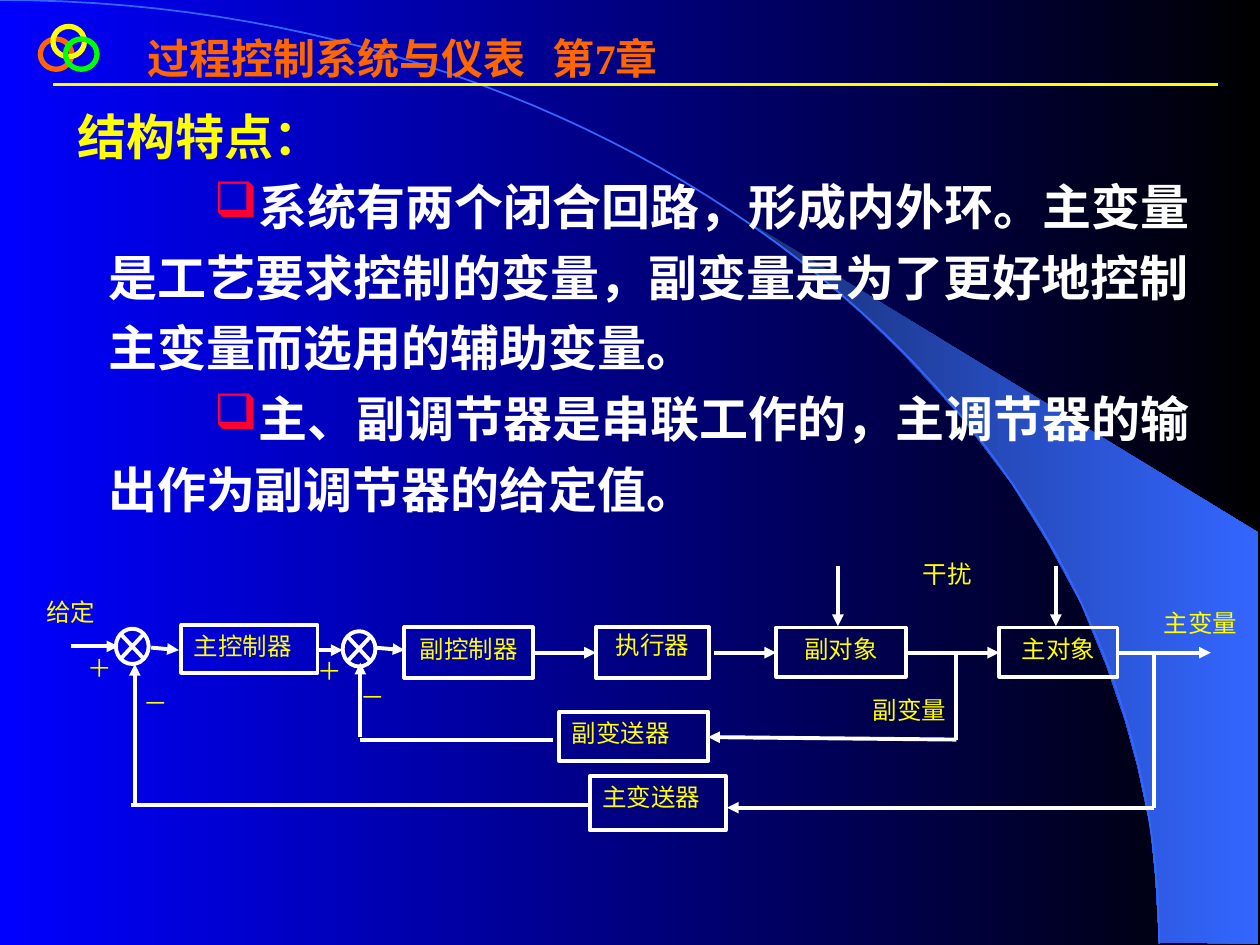
"""Build a slide on the structure of a cascade control system."""
from typing import Any, NamedTuple

from lxml.etree import SubElement
from pptx import Presentation
from pptx.dml.color import RGBColor
from pptx.enum.shapes import MSO_CONNECTOR as Connector, MSO_SHAPE as Preset
from pptx.enum.text import MSO_ANCHOR as Anchor, PP_ALIGN as Align
from pptx.oxml.ns import qn
from pptx.util import Cm, Pt

FONT = "Times New Roman"
WHITE, YELLOW, ORANGE, GREEN, BLUE = "FFFFFF", "FFFF00", "FF6600", "00FF00", "3366FF"
LINE_WIDTH = 2.25
AXIS = 5.18
CRESCENT = [
    (9.2, 7.48), (9.99, 7.49), (9.99, 4.23), (5.89, 1.73), (6.24, 1.99), (6.53, 2.22),
    (6.85, 2.5), (7.16, 2.8), (7.62, 3.3), (8.03, 3.84), (8.32, 4.31), (8.58, 4.79),
    (8.78, 5.28), (8.93, 5.72), (9.03, 6.09), (9.13, 6.56), (9.17, 6.96),
]


class Block(NamedTuple):
    text: str
    left: float
    top: float
    width: float
    height: float
    align: Align = Align.CENTER
    spacing: float = 1.0


class Link(NamedTuple):
    start: tuple
    end: tuple
    arrow: bool = True


BLOCKS = [
    Block("主控制器", 1.44, 4.96, 1.08, 0.38, Align.LEFT),
    Block("副控制器", 3.21, 4.98, 1.02, 0.4),
    Block("执行器", 4.73, 4.98, 0.9, 0.4, spacing=0.9),
    Block("副对象", 6.16, 4.98, 1.03, 0.39),
    Block("主对象", 7.93, 4.98, 0.94, 0.39),
    Block("副变送器", 4.44, 5.65, 1.18, 0.39, Align.LEFT),
    Block("主变送器", 4.68, 6.16, 1.08, 0.43, Align.LEFT),
]
LABELS = [
    Block("给定", 0.27, 4.69, 0.94, 0.39, Align.LEFT),
    Block("干扰", 7.05, 4.39, 0.94, 0.39),
    Block("主变量", 9.06, 4.78, 0.94, 0.39),
    Block("副变量", 6.75, 5.47, 0.94, 0.39),
    Block("＋", 0.6, 5.13, 0.44, 0.35, Align.LEFT),
    Block("＋", 2.42, 5.16, 0.44, 0.35, Align.LEFT),
    Block("－", 1.04, 5.41, 0.49, 0.35, Align.LEFT),
    Block("－", 2.76, 5.36, 0.49, 0.35, Align.LEFT),
]
LINKS = [
    Link((0.56, 5.13), (0.94, 5.13)),
    Link((1.2, 5.14), (1.42, 5.16)),
    Link((2.52, 5.16), (2.72, 5.16)),
    Link((2.97, 5.14), (3.21, 5.16)),
    *(Link((start, AXIS), (end, AXIS))
      for start, end in [(4.24, 4.73), (5.67, 6.16), (7.19, 7.93), (8.87, 9.61)]),
    *(Link((x, 4.49), (x, 4.97)) for x in (6.65, 8.38)),
    Link((7.59, AXIS), (7.59, 5.87), False),
    Link((7.59, 5.87), (5.62, 5.85)),
    Link((4.39, 5.87), (2.86, 5.87), False),
    Link((2.86, 5.85), (2.86, 5.26)),
    Link((9.16, AXIS), (9.16, 6.41), False),
    Link((9.16, 6.41), (5.77, 6.41)),
    Link((4.69, 6.39), (1.04, 6.39), False),
    Link((1.07, 6.38), (1.07, 5.27)),
]
FEATURES = [
    "系统有两个闭合回路，形成内外环。主变量是工艺要求控制的变量，副变量是为了更好地控制主变量而选用的辅助变量。",
    "主、副调节器是串联工作的，主调节器的输出作为副调节器的给定值。",
]


def inches(value: float) -> Cm:
    """Turn a measure in inches into a length."""
    return Cm(value * 2.54)


def colour(value: str) -> RGBColor:
    """Turn a hex string into a colour."""
    return RGBColor.from_string(value)


def apply(target: Any, values: dict) -> None:
    """Set each named attribute on the target."""
    for name, value in values.items():
        setattr(target, name, value)


def set_line(shape: Any, value: str, width: float) -> None:
    """Give a shape or connector a solid line."""
    shape.line.color.rgb = colour(value)
    shape.line.width = Pt(width)


def set_gradient(fill: Any, first: str, last: str) -> None:
    """Fill from left to right between two colours."""
    fill.gradient()
    fill.gradient_angle = 0
    for stop, value, position in zip(fill.gradient_stops, (first, last), (0, 1)):
        stop.color.rgb = colour(value)
        stop.position = position


def write(paragraph: Any, text: str, value: str, size: float, bold: bool = False, **layout: Any) -> None:
    """Add one formatted run to a paragraph."""
    apply(paragraph, layout)
    run = paragraph.add_run()
    run.text = text
    apply(run.font, {"name": FONT, "size": Pt(size), "bold": bold})
    run.font.color.rgb = colour(value)


def add_text_box(slide: Any, left: float, top: float, width: float, height: float) -> Any:
    """Add a wrapping text box and return its text frame."""
    box = slide.shapes.add_textbox(*map(inches, (left, top, width, height)))
    box.text_frame.word_wrap = True
    return box.text_frame


def add_outline(slide: Any, preset: Preset, bounds: tuple, value: str, width: float) -> Any:
    """Add an unfilled preset shape."""
    shape = slide.shapes.add_shape(preset, *map(inches, bounds))
    shape.shadow.inherit = False
    shape.fill.background()
    set_line(shape, value, width)
    return shape


def add_link(slide: Any, link: Link, value: str = WHITE, width: float = LINE_WIDTH) -> None:
    """Draw a straight line, with an arrowhead at its end if wanted."""
    connector = slide.shapes.add_connector(Connector.STRAIGHT, *map(inches, link.start + link.end))
    set_line(connector, value, width)
    if link.arrow:
        SubElement(connector.line._get_or_add_ln(), qn("a:tailEnd"), type="triangle")
    SubElement(connector._element.spPr, qn("a:effectLst"))


def add_freeform(slide: Any, points: list, closed: bool) -> Any:
    """Add a freeform through the given points."""
    places = [(inches(x), inches(y)) for x, y in points]
    builder = slide.shapes.build_freeform(*places[0])
    builder.add_line_segments(places[1:], close=closed)
    shape = builder.convert_to_shape()
    shape.shadow.inherit = False
    return shape


def arc_points(steps: int = 60) -> list:
    """Return points along the large quarter ellipse."""
    curve = []
    for step in range(steps + 1):
        t = step / steps
        s = 1 - t
        curve.append((3 * s * s * t * 5.08 + (3 * s * t * t + t ** 3) * 9.2,
                      3 * s * t * t * 3.35 + t ** 3 * 7.49))
    return curve


def add_bullet(paragraph: Any) -> None:
    """Give a paragraph a red box bullet and a first-line indent."""
    properties = paragraph._p.get_or_add_pPr()
    for name, value in {"marL": 0.24, "indent": 0.84}.items():
        properties.set(name, str(inches(value)))
    SubElement(SubElement(properties, qn("a:buClr")), qn("a:srgbClr"), val="FF0033")
    SubElement(properties, qn("a:buFont"), typeface="Wingdings", charset="2")
    SubElement(properties, qn("a:buChar"), char="q")


def add_header(slide: Any) -> None:
    """Draw the rule, the chapter title and the three rings."""
    add_link(slide, Link((0.42, 0.67), (9.67, 0.67), False), YELLOW, 1.5)
    title = add_text_box(slide, 1.07, 0.21, 4.49, 0.9).paragraphs[0]
    tabs = SubElement(title._p.get_or_add_pPr(), qn("a:tabLst"))
    SubElement(tabs, qn("a:tab"), pos=str(inches(3.22)), algn="l")
    write(title, "过程控制系统与仪表\t第7章", ORANGE, 24, True)
    for left, top, value in [(0.32, 0.31, ORANGE), (0.42, 0.21, YELLOW), (0.52, 0.31, GREEN)]:
        add_outline(slide, Preset.OVAL, (left, top, 0.25, 0.24), value, 3)


def add_body(slide: Any) -> None:
    """Write the heading and the bulleted features."""
    frame = add_text_box(slide, 0.52, 0.7, 9.02, 3.46)
    layout = {"alignment": Align.JUSTIFY, "line_spacing": 1.2}
    write(frame.paragraphs[0], "结构特点：", YELLOW, 28, True, **layout)
    for feature in FEATURES:
        paragraph = frame.add_paragraph()
        add_bullet(paragraph)
        write(paragraph, feature, WHITE, 28, True, **layout)


def add_diagram(slide: Any) -> None:
    """Draw the block diagram of the two loops."""
    for block in BLOCKS:
        shape = add_outline(slide, Preset.RECTANGLE, block[1:5], WHITE, LINE_WIDTH)
        apply(shape.text_frame, {"word_wrap": True, "vertical_anchor": Anchor.TOP})
        write(shape.text_frame.paragraphs[0], block.text, YELLOW, 14,
              alignment=block.align, line_spacing=block.spacing)
    for left, top in [(0.92, 4.99), (2.72, 5.01)]:
        add_outline(slide, Preset.FLOWCHART_SUMMING_JUNCTION, (left, top, 0.26, 0.28), WHITE, LINE_WIDTH)
    for link in LINKS:
        add_link(slide, link)
    for label in LABELS:
        frame = add_text_box(slide, *label[1:5])
        write(frame.paragraphs[0], label.text, YELLOW, 14, alignment=label.align)


def main() -> None:
    """Build and save the presentation."""
    presentation = Presentation()
    apply(presentation, {"slide_width": Cm(25.4), "slide_height": Cm(19.05)})
    slide = presentation.slides.add_slide(presentation.slide_layouts[6])
    set_gradient(slide.background.fill, "0000FF", "000000")
    crescent = add_freeform(slide, CRESCENT, True)
    set_gradient(crescent.fill, "182F76", BLUE)
    crescent.line.fill.background()
    arc = add_freeform(slide, arc_points(), False)
    arc.fill.background()
    set_line(arc, BLUE, 1)
    add_header(slide)
    add_body(slide)
    add_diagram(slide)
    presentation.save("out.pptx")


if __name__ == "__main__":
    main()
